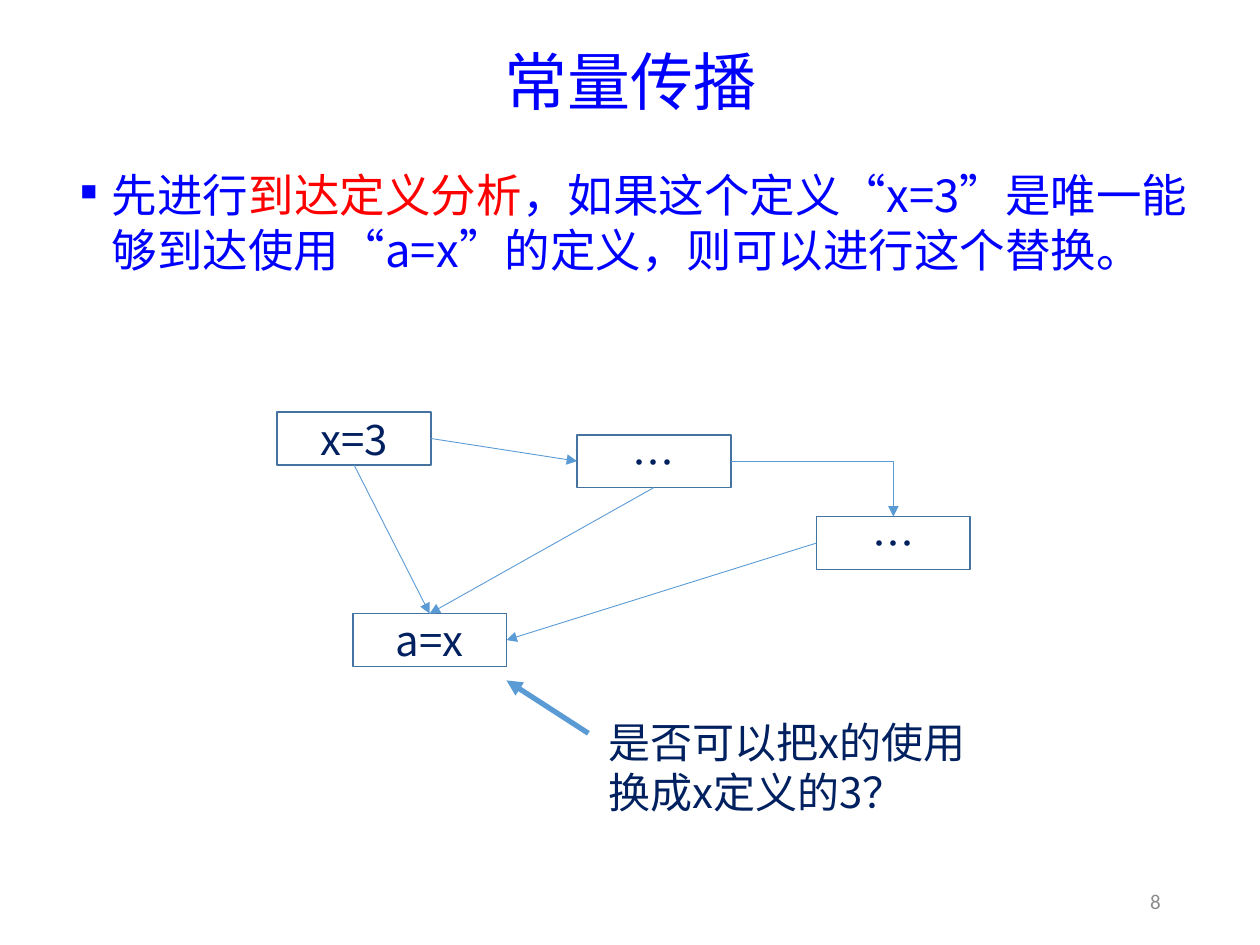
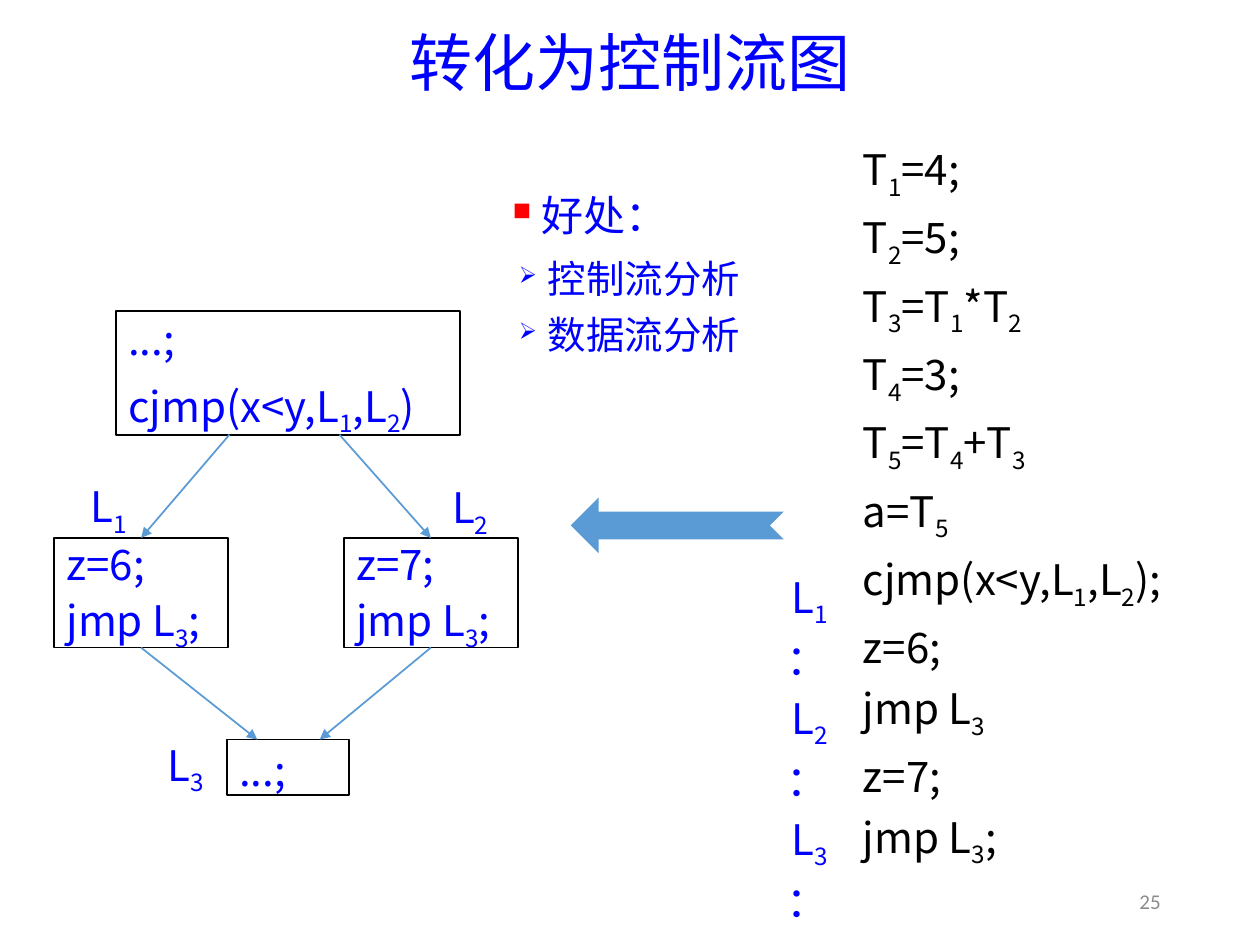
from lxml import etree
from pptx import Presentation
from pptx.dml.color import RGBColor
from pptx.enum.shapes import MSO_CONNECTOR as Connector, MSO_SHAPE as Shape
from pptx.enum.text import MSO_ANCHOR as Anchor, PP_ALIGN as Align
from pptx.oxml.ns import qn
from pptx.util import Inches, Pt

BLUE = RGBColor(0x00, 0x00, 0xFF)
RED = RGBColor(0xFF, 0x00, 0x00)
NAVY = RGBColor(0x00, 0x20, 0x60)
BLACK = RGBColor(0x00, 0x00, 0x00)
GRAY = RGBColor(0x8C, 0x8C, 0x8C)
STEEL = RGBColor(0x43, 0x73, 0x9E)
SKY = RGBColor(0x5B, 0x9B, 0xD5)

TITLE_FONT = "Noto Sans CJK JP"
BODY_FONT = "Noto Sans CJK SC"
NUMBER_FONT = "Calibri"

LEFT, RIGHT = (0, 0.5), (1, 0.5)
TOP, BOTTOM = (0.5, 0), (0.5, 1)

PROPAGATION_TITLE = "常量传播"
PROPAGATION_RULE = [
    ("先进行", BLUE),
    ("到达定义分析", RED),
    ("，如果这个定义“x=3”是唯一能够到达使用“a=x”的定义，则可以进行这个替换。", BLUE),
]
STATEMENT_SIZE = (1.22, 0.42)
STATEMENTS = {
    "definition": ("x=3", 2.2, 3.27),
    "middle": ("…", 4.58, 3.45),
    "later": ("…", 6.48, 4.1),
    "use": ("a=x", 2.8, 4.87),
}
STATEMENT_FLOWS = [
    ("definition", RIGHT, "middle", LEFT),
    ("definition", BOTTOM, "use", TOP),
    ("middle", BOTTOM, "use", TOP),
    ("later", LEFT, "use", RIGHT),
]
QUESTION = "是否可以把x的使用换成x定义的3？"

GRAPH_TITLE = "转化为控制流图"
BLOCKS = {
    "branch": ((0.92, 2.47, 2.73, 0.98), ["...;", "cjmp(x<y,L_1,L_2)"], 6),
    "then": ((0.43, 4.27, 1.38, 0.87), ["z=6;", "jmp L_3;"], 0),
    "else": ((2.73, 4.27, 1.38, 0.87), ["z=7;", "jmp L_3;"], 0),
    "exit": ((1.8, 5.87, 0.97, 0.44), ["...;"], 6),
}
BLOCK_FLOWS = [
    ("branch", (0.33, 1), "then", TOP),
    ("branch", (0.65, 1), "else", TOP),
    ("else", BOTTOM, "exit", (0.76, 0)),
    ("then", BOTTOM, "exit", (0.25, 0)),
]
BLOCK_LABELS = [("L_1", 0.62, 3.73), ("L_2", 3.49, 3.74), ("L_3", 1.23, 5.78)]
CODE = [
    "T_1=4;", "T_2=5;", "T_3=T_1*T_2", "T_4=3;", "T_5=T_4+T_3", "a=T_5",
    "cjmp(x<y,L_1,L_2);", "z=6;", "jmp L_3", "z=7;", "jmp L_3;",
]
CODE_LABELS = ["L_1：", "L_2：", "L_3："]
BENEFITS = [
    ("好处：", 24, 6, ("■", 0.23, 0.23, 60, RED)),
    ("控制流分析", 22, 3, ("➢", 0.28, 0.23, 60, None)),
    ("数据流分析", 22, 0, ("➢", 0.28, 0.23, 60, None)),
]


def add_run(paragraph, text, size, color, font=BODY_FONT, subscript=False):
    run = paragraph.add_run()
    run.text = text
    run.font.size = Pt(size)
    run.font.color.rgb = color
    run.font.name = font
    properties = run._r.get_or_add_rPr()
    etree.SubElement(properties, qn("a:ea")).set("typeface", font)
    if subscript:
        properties.set("baseline", "-25000")


def add_code(paragraph, code, size, color, font=BODY_FONT):
    head, *tails = code.split("_")
    add_run(paragraph, head, size, color, font)
    for tail in tails:
        add_run(paragraph, tail[0], size, color, font, True)
        if tail[1:]:
            add_run(paragraph, tail[1:], size, color, font)


def add_bullet(paragraph, char, margin, hanging, percent, color):
    properties = paragraph._p.get_or_add_pPr()
    properties.set("marL", str(Inches(margin)))
    properties.set("indent", str(-Inches(hanging)))
    if color is not None:
        holder = etree.SubElement(properties, qn("a:buClr"))
        etree.SubElement(holder, qn("a:srgbClr")).set("val", str(color))
    etree.SubElement(properties, qn("a:buSzPct")).set("val", str(percent * 1000))
    etree.SubElement(properties, qn("a:buChar")).set("char", char)


def next_paragraph(frame, index):
    return frame.add_paragraph() if index else frame.paragraphs[0]


def write(frame, lines, size, color, font=BODY_FONT, align=Align.LEFT, spacing=1.0, after=0):
    frame.word_wrap = True
    frame.vertical_anchor = Anchor.MIDDLE
    for index, line in enumerate(lines):
        paragraph = next_paragraph(frame, index)
        paragraph.alignment = align
        paragraph.line_spacing = spacing
        paragraph.space_after = Pt(after)
        add_code(paragraph, line, size, color, font)


def add_frame(slide, area, anchor=Anchor.MIDDLE):
    frame = slide.shapes.add_textbox(*map(Inches, area)).text_frame
    frame.word_wrap = True
    frame.vertical_anchor = anchor
    return frame


def add_box(slide, area, line_color):
    box = slide.shapes.add_shape(Shape.RECTANGLE, *map(Inches, area))
    box.shadow.inherit = False
    box.fill.background()
    box.line.color.rgb = line_color
    box.line.width = Pt(1)
    return box.text_frame


def style_arrow(line, width):
    line.color.rgb = SKY
    line.width = Pt(width)
    etree.SubElement(line._get_or_add_ln(), qn("a:tailEnd")).set("type", "triangle")


def add_arrow(slide, start, end, width):
    arrow = slide.shapes.add_connector(Connector.STRAIGHT, *map(Inches, start + end))
    style_arrow(arrow.line, width)
    etree.SubElement(arrow._element.spPr, qn("a:effectLst"))


def port(area, place):
    left, top, width, height = area
    return left + width * place[0], top + height * place[1]


def add_flows(slide, areas, flows, width):
    for source, leave, target, enter in flows:
        add_arrow(slide, port(areas[source], leave), port(areas[target], enter), width)


def add_page(deck, title, number, title_top, title_height):
    slide = deck.slides.add_slide(deck.slide_layouts[6])
    write(add_frame(slide, (0.69, title_top, 8.62, title_height)), [title], 36, BLUE,
          TITLE_FONT, Align.CENTER, 0.9)
    write(add_frame(slide, (7.06, 6.95, 2.25, 0.4)), [number], 12, GRAY,
          NUMBER_FONT, Align.RIGHT)
    return slide


def build_propagation(deck):
    slide = add_page(deck, PROPAGATION_TITLE, "8", 0.27, 0.81)
    rule = add_frame(slide, (0.54, 1.28, 9.1, 1.22), Anchor.TOP).paragraphs[0]
    rule.space_after = Pt(6)
    add_bullet(rule, "■", 0.25, 0.25, 50, None)
    for text, color in PROPAGATION_RULE:
        add_run(rule, text, 26, color)

    areas = {}
    for name, (text, left, top) in STATEMENTS.items():
        areas[name] = (left, top) + STATEMENT_SIZE
        write(add_box(slide, areas[name], STEEL), [text], 24, NAVY, align=Align.CENTER)
    add_flows(slide, areas, STATEMENT_FLOWS, 0.5)

    start, end = port(areas["middle"], RIGHT), port(areas["later"], TOP)
    bend = slide.shapes.build_freeform(Inches(start[0]), Inches(start[1]))
    bend.add_line_segments([(Inches(end[0]), Inches(y)) for y in (start[1], end[1])], close=False)
    elbow = bend.convert_to_shape()
    elbow.shadow.inherit = False
    elbow.fill.background()
    style_arrow(elbow.line, 0.5)

    write(add_frame(slide, (4.73, 5.47, 3.18, 1.23)), [QUESTION], 24, NAVY)
    add_arrow(slide, (4.67, 5.82), (4.02, 5.4), 3)


def build_graph(deck):
    slide = add_page(deck, GRAPH_TITLE, "25", 0.16, 0.73)
    for area, lines, after in BLOCKS.values():
        write(add_box(slide, area, BLACK), lines, 24, BLUE, spacing=1.1, after=after)
    areas = {name: block[0] for name, block in BLOCKS.items()}
    add_flows(slide, areas, BLOCK_FLOWS, 1)
    for label, left, top in BLOCK_LABELS:
        write(add_frame(slide, (left, top, 0.54, 0.58)), [label], 24, BLUE, spacing=1.1)

    write(add_frame(slide, (6.75, 1.27, 2.95, 5.45)), CODE, 24, BLACK, spacing=1.1, after=3)
    for index, label in enumerate(CODE_LABELS):
        write(add_frame(slide, (5.98, 4.7 + 0.96 * index, 0.69, 0.52)), [label], 24, BLUE,
              align=Align.RIGHT, spacing=1.1, after=3)

    conversion = slide.shapes.add_shape(
        Shape.NOTCHED_RIGHT_ARROW, *map(Inches, (4.53, 3.95, 1.69, 0.44)))
    conversion.rotation = 180
    conversion.shadow.inherit = False
    conversion.fill.solid()
    conversion.fill.fore_color.rgb = SKY
    conversion.line.fill.background()

    benefits = add_frame(slide, (3.97, 1.44, 2.56, 1.42))
    for index, (text, size, after, bullet) in enumerate(BENEFITS):
        paragraph = next_paragraph(benefits, index)
        add_bullet(paragraph, *bullet)
        paragraph.line_spacing = 1.1
        paragraph.space_after = Pt(after)
        add_run(paragraph, text, size, BLUE)


def main():
    deck = Presentation()
    deck.slide_width, deck.slide_height = Inches(10), Inches(7.5)
    build_propagation(deck)
    build_graph(deck)
    deck.save("out.pptx")


if __name__ == "__main__":
    main()
